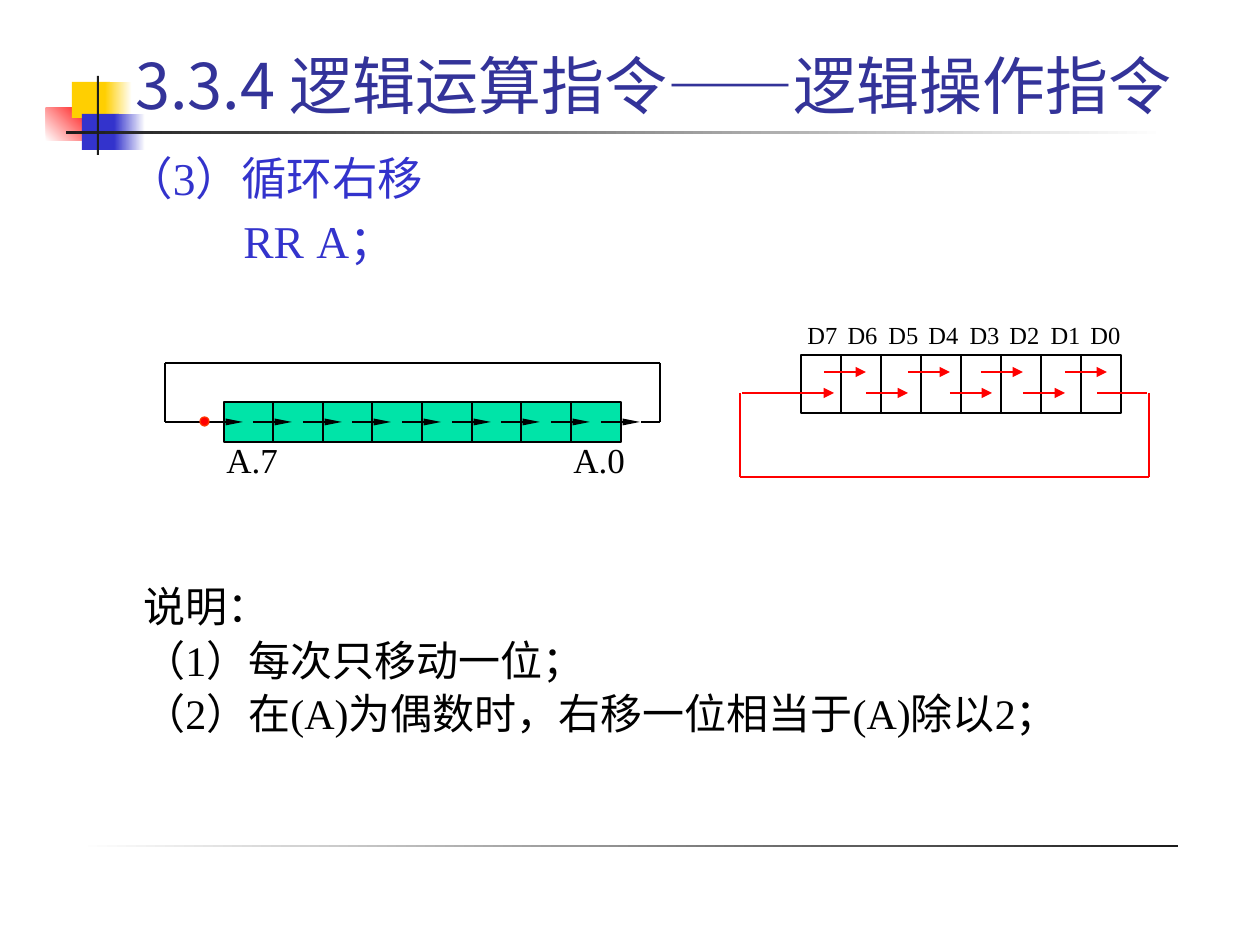
from lxml import etree
from pptx import Presentation
from pptx import util as u
from pptx.dml.color import RGBColor
from pptx.enum import shapes, text
from pptx.oxml import ns

SCALE = 914400 / 126
SERIF = "Times New Roman"
SANS = "Noto Sans CJK JP"
BLACK, WHITE, RED, BLUE, GOLD, DARK = "000000", "FFFFFF", "FF0000", "3333CC", "FFCF01", "1C1C1C"
MINT, NAVY = "00E4A8", "333399"


def px(value):
    return u.Emu(round(value * SCALE))


def color(value):
    return RGBColor.from_string(value)


def add_child(parent, tag, **attributes):
    return etree.SubElement(parent, ns.qn(tag), **attributes)


def add_block(slide, box, fill=None, line=None, kind=shapes.MSO_SHAPE.RECTANGLE):
    shape = slide.shapes.add_shape(kind, *map(px, box))
    shape.shadow.inherit = False
    if fill:
        shape.fill.solid()
        shape.fill.fore_color.rgb = color(fill)
    else:
        shape.fill.background()
    if line:
        shape.line.color.rgb = color(line)
        shape.line.width = u.Pt(0.75)
    else:
        shape.line.fill.background()
    return shape


def add_gradient(slide, box, start, end, angle=0):
    shape = add_block(slide, box)
    shape.fill.gradient()
    shape.fill.gradient_angle = angle
    for stop, value in zip(shape.fill.gradient_stops, (start, end)):
        stop.color.rgb = color(value)


def add_line(slide, start, end, ink, arrow=None):
    line = slide.shapes.add_connector(shapes.MSO_CONNECTOR.STRAIGHT, *map(px, (*start, *end)))
    line.line.color.rgb = color(ink)
    line.line.width = u.Pt(0.75)
    if arrow:
        width, length = arrow
        add_child(line.line._get_or_add_ln(), "a:tailEnd", type="triangle", w=width, len=length)
    add_child(line._element.spPr, "a:effectLst")


def set_font(paragraph, size, ink, name):
    font = paragraph.font
    font.size = u.Pt(size)
    font.name = name
    font.color.rgb = color(ink)
    add_child(paragraph._p.pPr.find(ns.qn("a:defRPr")), "a:ea", typeface=SANS)


def add_text(slide, box, lines, size, ink, name=SERIF, wrap=True, spacing=None):
    frame = slide.shapes.add_textbox(*map(px, box)).text_frame
    frame.word_wrap = wrap
    for index, content in enumerate(lines):
        paragraph = frame.paragraphs[0] if index == 0 else frame.add_paragraph()
        paragraph.text = content
        if index:
            paragraph.space_before = u.Pt(size * 0.2)
        if spacing:
            paragraph.line_spacing = spacing
        set_font(paragraph, size, ink, name)
    return frame


def add_instruction(frame):
    paragraph = frame.add_paragraph()
    paragraph.text = "RR\tA；"
    paragraph.space_before = u.Pt(5)
    properties = paragraph._p.get_or_add_pPr()
    properties.set("marL", "0")
    properties.set("indent", str(px(116)))
    tabs = add_child(properties, "a:tabLst")
    add_child(tabs, "a:tab", pos=str(px(220)), algn="l")
    set_font(paragraph, 26, BLUE, SERIF)


def add_decoration(slide):
    add_gradient(slide, (46, 108, 48, 33), WHITE, RED, 45)
    add_block(slide, (72, 82, 38, 36), GOLD)
    add_gradient(slide, (105, 82, 27, 36), GOLD, WHITE)
    add_block(slide, (82, 114, 37, 36), BLUE)
    add_gradient(slide, (114, 114, 31, 36), BLUE, WHITE)
    add_gradient(slide, (66, 131, 1100, 3), DARK, WHITE)
    add_block(slide, (97, 76, 2, 79), DARK)
    add_gradient(slide, (78, 845, 1100, 2), WHITE, DARK)


def add_title(slide):
    frame = add_text(slide, (123, 45, 1124, 78), [""], 36, NAVY, SANS)
    frame.vertical_anchor = text.MSO_ANCHOR.MIDDLE
    for content, name in (("3.3.4 逻辑运算指令", SANS), ("——", "Arial"), ("逻辑操作指令", SANS)):
        run = frame.paragraphs[0].add_run()
        run.text = content
        run.font.name = name


def add_data_register(slide):
    for index in range(8):
        add_block(slide, (801 + 40 * index, 355, 40, 58), line=BLACK)
        label = add_text(slide, (795 + 81 * index // 2, 314, 55, 42), [f"D{7 - index}"], 14, BLACK, wrap=False)
        label.paragraphs[0].alignment = text.PP_ALIGN.CENTER
    arrow = ("med", "med")
    for index in range(7):
        left = 824 + 42 * index - (11 if index > 3 else 0)
        y = 393 if index % 2 else 372
        add_line(slide, (left, y), (left + 42, y), RED, arrow)
    add_line(slide, (742, 393), (834, 393), RED, arrow)
    for start, end in (
        ((1149, 393), (1149, 477)),
        ((1149, 477), (740, 477)),
        ((740, 393), (740, 477)),
        ((1147, 393), (1097, 393)),
    ):
        add_line(slide, start, end, RED)


def add_accumulator(slide):
    offsets = [397 * index // 8 for index in range(9)]
    for offset in offsets[:-1]:
        add_block(slide, (224 + offset, 402, 50, 40), MINT, BLACK)
    for offset in offsets:
        add_line(slide, (204 + offset, 422), (243 + offset, 422), BLACK, ("sm", "lg"))
    corners = [(204, 422), (165, 422), (165, 363), (660, 363), (660, 422), (641, 422)]
    for start, end in zip(corners, corners[1:]):
        add_line(slide, start, end, BLACK)
    for left, label in ((561, "A.0"), (214, "A.7")):
        add_text(slide, (left, 432, 79, 55), [label], 20, BLACK)
    add_block(slide, (200, 417, 9, 9), RED, "FF3300", shapes.MSO_SHAPE.OVAL)


def main():
    presentation = Presentation()
    presentation.slide_width, presentation.slide_height = px(1260), px(945)
    slide = presentation.slides.add_slide(presentation.slide_layouts[6])
    add_decoration(slide)
    add_title(slide)
    add_instruction(add_text(slide, (115, 144, 1061, 160), ["（3）循环右移"], 26, BLUE))
    add_data_register(slide)
    notes = ["说明：", "（1）每次只移动一位；", "（2）在(A)为偶数时，右移一位相当于(A)除以2；"]
    add_text(slide, (131, 580, 1071, 197), notes, 24, BLACK, spacing=0.9)
    add_accumulator(slide)
    presentation.save("out.pptx")


if __name__ == "__main__":
    main()
